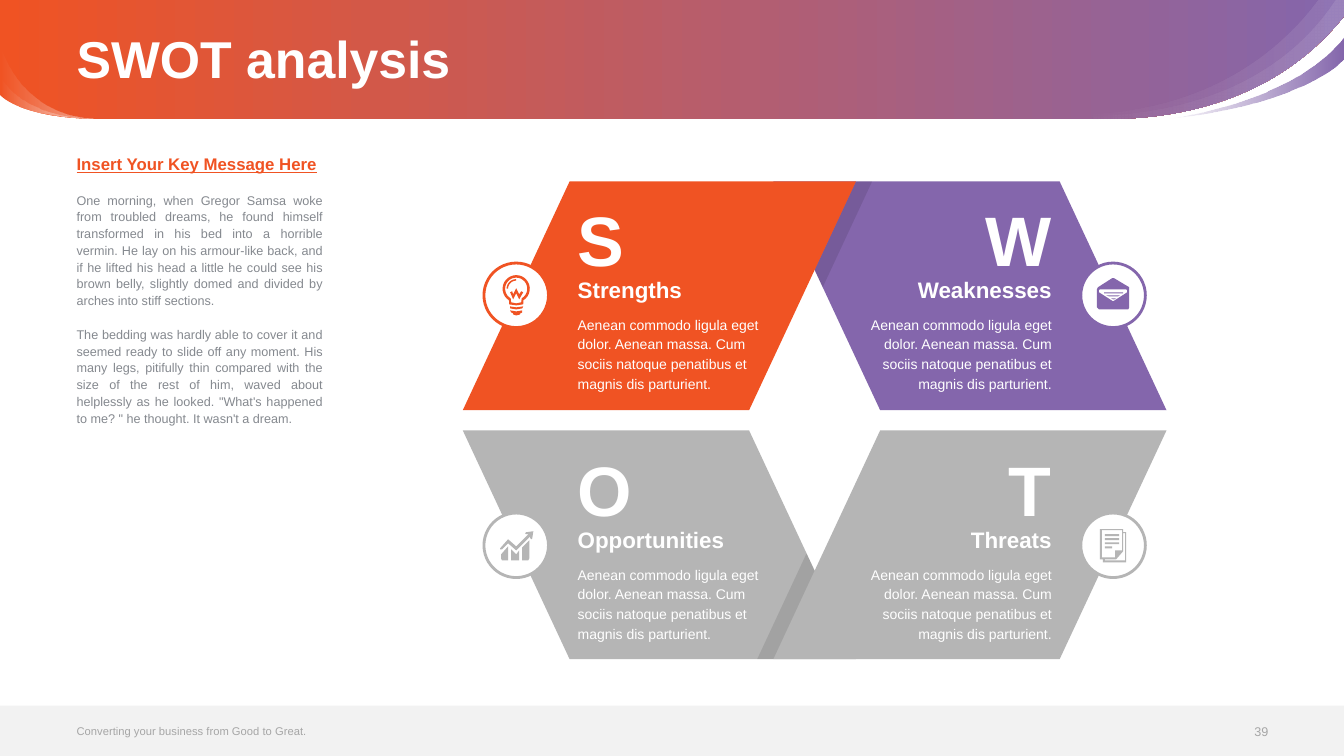
from dataclasses import dataclass
from math import cos, radians, sin

from lxml.etree import SubElement
from pptx import Presentation
from pptx.dml.color import RGBColor
from pptx.enum.shapes import MSO_SHAPE as SHAPE
from pptx.enum.text import MSO_ANCHOR as ANCHOR, PP_ALIGN as ALIGN
from pptx.oxml.ns import qn
from pptx.util import Inches, Pt


@dataclass(frozen=True)
class Theme:
    font: str = "Arial"
    orange: str = "F05323"
    purple: str = "8466AC"
    gray: str = "B5B5B5"
    white: str = "FFFFFF"
    black: str = "000000"
    footer: str = "F2F2F2"
    body: str = "85898F"
    muted: str = "A6A6A6"
    title_pt: int = 37
    letter_pt: int = 50
    name_pt: int = 16
    key_pt: int = 12
    text_pt: int = 10
    body_pt: int = 9
    footer_pt: int = 8


T = Theme()
CENTER_X, CENTER_Y = 8.08, 4.17  # middle of the four panels
BLURB = ("Aenean commodo ligula eget dolor. Aenean massa. Cum sociis natoque "
         "penatibus et magnis dis parturient.")
STORY = [
    "One morning, when Gregor Samsa woke from troubled dreams, he found himself "
    "transformed in his bed into a horrible vermin. He lay on his armour-like back, "
    "and if he lifted his head a little he could see his brown belly, slightly domed "
    "and divided by arches into stiff sections.",
    "The bedding was hardly able to cover it and seemed ready to slide off any moment. "
    "His many legs, pitifully thin compared with the size of the rest of him, waved "
    "about helplessly as he looked. \"What's happened to me? \" he thought. "
    "It wasn't a dream.",
]


def rect(x1, y1, x2, y2):
    return [(x1, y1), (x2, y1), (x2, y2), (x1, y2)]


def arc(radius, start, end, steps=24):
    """Points on an arc around the centre of the bulb glass."""
    angles = [radians(start + (end - start) * i / steps) for i in range(steps + 1)]
    return [(radius * cos(a), radius * sin(a) - 6.5) for a in angles]


# Icon outlines, in hundredths of an inch from the badge centre
BULB = [
    arc(13.5, 122, 418) + [(7, 9), (0, 10), (-7, 9)],
    arc(11, 120, 420) + [(5, 7), (0, 8), (-5, 7)],
    arc(9.5, 180, 270) + arc(8, 270, 180),
    [(-6, 11), (0, 12), (7, 11), (6, 13), (0, 14), (-6, 13)],
    [(-6, 15), (0, 16), (6, 15), (6, 17), (4, 18), (4, 19), (0, 20), (-3, 19),
     (-3, 18), (-5, 17)],
    [(3, -1), (0, -7), (-3, -1), (-4, -4), (-6, -3), (-3, 4), (0, -2), (3, 4),
     (7, -3), (5, -4)],
]
ENVELOPE = [
    [(16, -8), (1, -17), (-1, -17), (-15, -8), (-16, -6), (-16, 12), (-14, 14),
     (15, 14), (16, 12), (16, -6)],
    [(14, -3), (0, 6), (-14, -3), (-14, -5), (-13, -6), (13, -6), (14, -5)],
    [(0, 4), (1, 4), (3, 3), (-2, 3)],
    [(-4, 1), (5, 1), (7, 0), (-7, 0)],
    rect(-9, -3, 10, -2),
]
GROWTH = [
    [(-5, 4), (-5, 15), (3, 15), (3, 5), (0, 9)],
    [(-15, 13), (-14, 15), (-8, 15), (-8, 1), (-15, 9)],
    [(10, -13), (9, -12), (10, -11), (12, -11), (0, 1), (-8, -6), (-16, 3), (-16, 4),
     (-14, 4), (-8, -2), (0, 5), (14, -9), (14, -7), (15, -6), (16, -7), (17, -14)],
    [(6, 2), (6, 15), (12, 15), (13, 13), (13, -5), (7, 1)],
]
DOCUMENT = [
    [(10, -13), (10, -16), (-13, -16), (-13, 14), (-10, 14), (-10, 17), (13, 17), (13, -13)],
    [(-11, 12), (-11, -15), (9, -15), (9, 5), (2, 5), (2, 12)],
    [(12, 15), (-8, 15), (-8, 14), (3, 14), (10, 6), (10, -12), (12, -12)],
    *[rect(-8, y, 6, y + 2) for y in (-11, -7, -3)],
    rect(-8, 1, -1, 3),
]


def paint(sp, color, line=None):
    sp.shadow.inherit = False
    sp.fill.solid()
    sp.fill.fore_color.rgb = RGBColor.from_string(color)
    if line:
        sp.line.color.rgb = RGBColor.from_string(line)
        sp.line.width = Pt(2)
    else:
        sp.line.fill.background()


def set_alpha(color_format_parent, percent):
    for color in color_format_parent.iter(qn("a:srgbClr")):
        SubElement(color, qn("a:alpha"), val=str(percent * 1000))


def add_outline(s, contours, color):
    """Draw closed contours, in inches, as one shape."""
    first, *others = [[(Inches(x), Inches(y)) for x, y in c] for c in contours]
    builder = s.shapes.build_freeform(*first[0])
    builder.add_line_segments(first[1:])
    for contour in others:
        builder.move_to(*contour[0])
        builder.add_line_segments(contour[1:])
    sp = builder.convert_to_shape()
    paint(sp, color)
    return sp


def trace(start, *segments, steps=40):
    """Turn line ends (x, y) and Bézier segments (six numbers) into points."""
    points = [start]
    for seg in segments:
        if len(seg) == 2:
            points.append(seg)
            continue
        knots = [points[-1], seg[:2], seg[2:4], seg[4:]]
        for t in (i / steps for i in range(1, steps + 1)):
            weights = ((1 - t) ** 3, 3 * t * (1 - t) ** 2, 3 * t * t * (1 - t), t ** 3)
            points.append(tuple(sum(w * k[axis] for w, k in zip(weights, knots))
                                for axis in (0, 1)))
    return points


def add_wave(s, points, *stops):
    """Fill with a left-to-right gradient; a stop is (position, colour, opacity)."""
    fill = add_outline(s, [points], T.white).fill
    fill.gradient()
    fill.gradient_angle = 0
    for stop, (position, color, opacity) in zip(fill.gradient_stops, stops):
        stop.position = position
        stop.color.rgb = RGBColor.from_string(color)
        if opacity < 100:
            set_alpha(stop._gs, opacity)


def add_text(s, box, paragraphs, size, color, bold=False, align=ALIGN.LEFT,
             anchor=ANCHOR.TOP, spacing=None):
    tf = s.shapes.add_textbox(*map(Inches, box)).text_frame
    tf.word_wrap = True
    tf.vertical_anchor = anchor
    tf.margin_left = tf.margin_right = tf.margin_top = tf.margin_bottom = 0
    for i, text in enumerate(paragraphs):
        p = tf.add_paragraph() if i else tf.paragraphs[0]
        p.text, p.alignment, p.line_spacing = text, align, spacing
        p.font.name, p.font.size, p.font.bold = T.font, Pt(size), bold
        p.font.color.rgb = RGBColor.from_string(color)
    return tf


def add_banner(s):
    add_wave(s, trace((13.33, 0), (13.33, 0.16), (12.66, 1, 11.7, 1.17, 11.05, 1.18),
                      (0.97, 1.18), (0.18, 1.17, 0, 0.94, 0, 0.94), (0, 0)),
             (0, T.orange, 100), (1, T.purple, 100))
    veil = (0.15, T.white, 0), (1, T.white, 10)
    add_wave(s, trace((13.33, 0), (13.33, 0.16), (12.24, 1.53, 10.39, 1.13, 10.34, 1.12),
                      (10.4, 1.12, 12.32, 1.39, 13.24, 0)), *veil)
    add_wave(s, trace((11.57, 1.18), (11.57, 1.18, 12.82, 1.03, 13.33, 0.37),
                      (13.33, 0.59), (13.33, 0.59, 12.94, 1.04, 11.57, 1.18)),
             (0, T.purple, 0), (1, T.purple, 100))
    add_wave(s, trace((13.33, 0), (13.33, 0.16), (12.23, 1.55, 10.34, 1.12, 10.34, 1.12),
                      (11.89, 1.22, 12.7, 0.5, 13.07, 0)), *veil)
    for top, dip in ((0.76, 1.17), (0.45, 1.16)):
        add_wave(s, trace((0.98, 1.18), (0.18, 1.17, 0, 0.94, 0, 0.94), (0, top),
                          (0, top, 0.18, dip, 0.98, 1.18)),
                 (0, T.white, 0), (1, T.white, 50))


def add_panel(s, side, row, color):
    """Slanted panel; side and row are -1 or 1."""
    corners = [(2.43, 2.37), (-0.41, 2.37), (0.65, 0.1), (3.49, 0.1)]
    add_outline(s, [[(CENTER_X + side * x, CENTER_Y + row * y) for x, y in corners]], color)


def add_fold_shadow(s, turn):
    corners = [(0.57, -2.37), (0.08, -1.32), (0, -1.49), (0.41, -2.37)]
    sp = add_outline(s, [[(CENTER_X + turn * x, CENTER_Y + turn * y) for x, y in corners]],
                     T.black)
    set_alpha(sp._element.spPr, 10)


def add_content(s, side, row, color, name, icon):
    top = 1.8 if row < 0 else 4.28
    x, y = CENTER_X + side * 2.96, top + 1.13
    badge = s.shapes.add_shape(SHAPE.OVAL, Inches(x - 0.32), Inches(y - 0.32),
                               Inches(0.64), Inches(0.64))
    paint(badge, T.white, color)
    add_outline(s, [[(x + dx / 100, y + dy / 100) for dx, dy in c] for c in icon], color)

    left, align = (5.73, ALIGN.LEFT) if side < 0 else (8.49, ALIGN.RIGHT)
    add_text(s, (left, top + 1.31, 1.94, 0.79), [BLURB], T.text_pt, T.white,
             align=align, spacing=Pt(14))
    add_text(s, (left, top + 0.94, 1.94, 0.27), [name], T.name_pt, T.white, True, align)
    add_text(s, (left, top + 0.15, 1.94, 0.84), [name[0]], T.letter_pt, T.white, True, align)


def main():
    prs = Presentation()
    prs.slide_width, prs.slide_height = Inches(13.33), Inches(7.5)
    s = prs.slides.add_slide(prs.slide_layouts[6])

    # Banner and footer
    add_banner(s)
    footer = s.shapes.add_shape(SHAPE.RECTANGLE, 0, Inches(7), prs.slide_width, Inches(0.5))
    paint(footer, T.footer)
    add_text(s, (0.76, 0.05, 11.81, 1.13), ["SWOT analysis"], T.title_pt, T.white, True,
             anchor=ANCHOR.MIDDLE, spacing=0.9)
    add_text(s, (0.76, 7.12, 5.23, 0.26), ["Converting your business from Good to Great."],
             T.footer_pt, T.muted, anchor=ANCHOR.MIDDLE)
    add_text(s, (11.95, 7.13, 0.63, 0.26), ["39"], T.body_pt, T.muted,
             align=ALIGN.RIGHT, anchor=ANCHOR.MIDDLE)

    # Key message
    tf = add_text(s, (0.76, 1.56, 2.44, 5.19), ["Insert Your Key Message Here", *STORY],
                  T.body_pt, T.body, align=ALIGN.JUSTIFY, spacing=Pt(12))
    for p in tf.paragraphs[:-1]:
        p.space_after = Pt(12)
    heading = tf.paragraphs[0].font
    heading.size, heading.bold, heading.underline = Pt(T.key_pt), True, True
    heading.color.rgb = RGBColor.from_string(T.orange)

    # SWOT panels: the strengths panel lies over the fold shadows
    quadrants = [
        (1, -1, T.purple, "Weaknesses", ENVELOPE),
        (-1, 1, T.gray, "Opportunities", GROWTH),
        (1, 1, T.gray, "Threats", DOCUMENT),
        (-1, -1, T.orange, "Strengths", BULB),
    ]
    for side, row, color, name, _ in quadrants:
        if name == "Strengths":
            add_fold_shadow(s, 1)
            add_fold_shadow(s, -1)
        add_panel(s, side, row, color)
    for quadrant in quadrants:
        add_content(s, *quadrant)

    prs.save("out.pptx")


if __name__ == "__main__":
    main()
